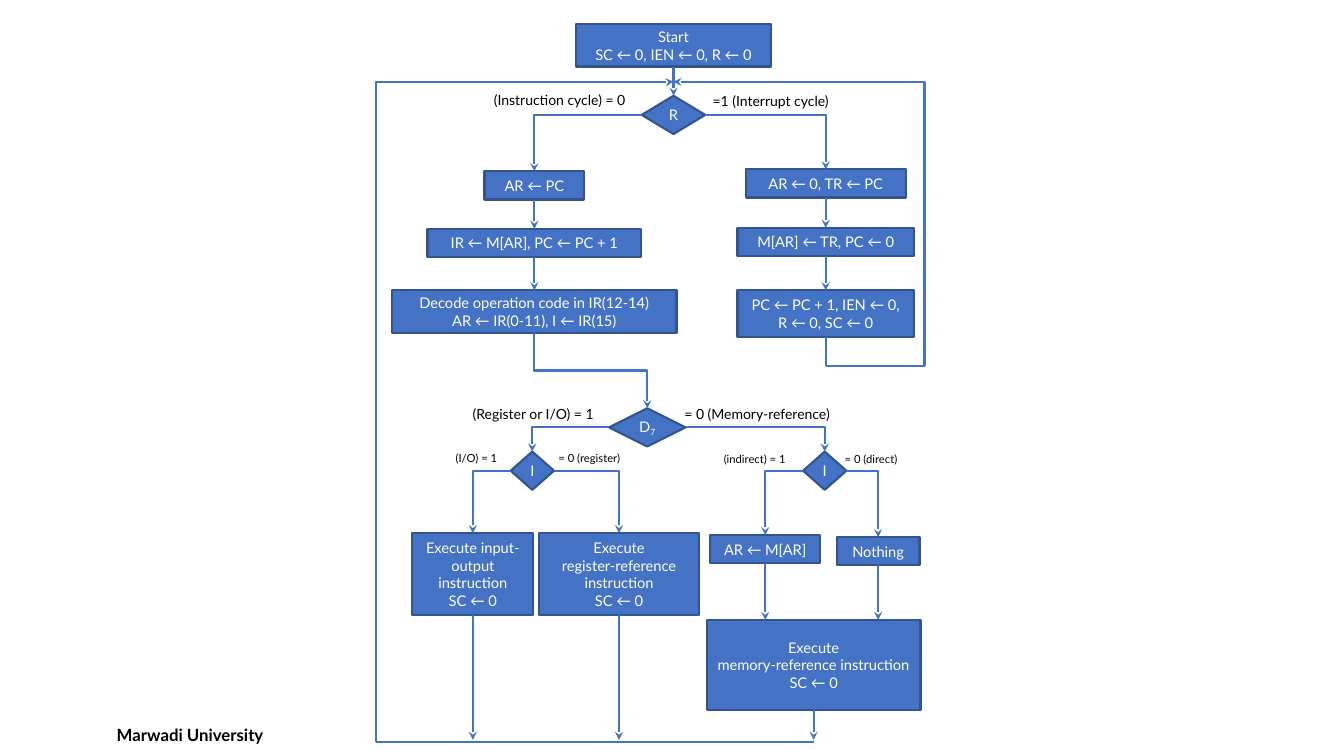
from lxml.etree import SubElement
from pptx import Presentation
from pptx.dml.color import RGBColor
from pptx.enum.shapes import MSO_CONNECTOR, MSO_SHAPE
from pptx.enum.text import MSO_ANCHOR, MSO_AUTO_SIZE, PP_ALIGN
from pptx.oxml.ns import qn
from pptx.util import Inches, Pt

FONT = "Lato"
COLORS = {"fill": "4472C4", "outline": "325491", "flow": "4472C4",
          "white": "FFFFFF", "black": "000000"}

# name: (centre x, top, width, height, lines of text)
BOXES = {
    "start": (6.68, 0.24, 1.93, 0.42, ["Start", "SC ← 0, IEN ← 0, R ← 0"]),
    "fetch_address": (5.3, 1.7, 0.99, 0.28, ["AR ← PC"]),
    "fetch": (5.3, 2.27, 2.12, 0.28, ["IR ← M[AR], PC ← PC + 1"]),
    "decode": (5.3, 2.88, 2.82, 0.42, ["Decode operation code in IR(12-14)",
                                       "AR ← IR(0-11), I ← IR(15)"]),
    "save_pc": (8.19, 1.68, 1.59, 0.28, ["AR ← 0, TR ← PC"]),
    "store_pc": (8.19, 2.26, 1.75, 0.28, ["M[AR] ← TR, PC ← 0"]),
    "disable": (8.19, 2.88, 1.75, 0.46, ["PC ← PC + 1, IEN ← 0, R ← 0, SC ← 0"]),
    "io": (4.69, 5.29, 1.2, 0.81, ["Execute input-output instruction", "SC ← 0"]),
    "register": (6.14, 5.29, 1.59, 0.81,
                 ["Execute", "register-reference instruction", "SC ← 0"]),
    "indirect": (7.59, 5.31, 1.09, 0.28, ["AR ← M[AR]"]),
    "direct": (8.71, 5.33, 0.82, 0.28, ["Nothing"]),
    "memory": (8.07, 6.15, 2.12, 0.89,
               ["Execute", "memory-reference instruction", "SC ← 0"]),
}
# name: (centre x, top, width, height, letter, subscript)
DECISIONS = {
    "R": (6.68, 0.95, 0.63, 0.38, "R", ""),
    "D7": (6.42, 4.05, 0.76, 0.38, "D", "7"),
    "I_left": (5.28, 4.48, 0.43, 0.38, "I", ""),
    "I_right": (8.18, 4.48, 0.43, 0.38, "I", ""),
}
# left, top, width, height, text, size
LABELS = [
    (4.8, 0.86, 1.66, 0.27, "(Instruction cycle) = 0", 10),
    (6.97, 0.87, 1.47, 0.27, "=1 (Interrupt cycle)", 10),
    (4.59, 3.97, 1.49, 0.27, "(Register or I/O) = 1", 10),
    (6.69, 3.97, 1.84, 0.27, "= 0 (Memory-reference)", 10),
    (4.42, 4.43, 0.63, 0.24, "(I/O) = 1", 8),
    (5.44, 4.43, 0.9, 0.24, "= 0 (register)", 8),
    (7.08, 4.44, 0.88, 0.24, "(indirect) = 1", 8),
    (8.28, 4.44, 0.8, 0.24, "= 0 (direct)", 8),
]
STEPS = [("start", "R"), ("fetch_address", "fetch"), ("fetch", "decode"),
         ("save_pc", "store_pc"), ("store_pc", "disable"),
         ("indirect", "memory"), ("direct", "memory")]
# decision: (target on its left, target on its right)
BRANCHES = {"R": ("fetch_address", "save_pc"), "D7": ("I_left", "I_right"),
            "I_left": ("io", "register"), "I_right": ("indirect", "direct")}
ENDS = ["io", "register", "memory"]
MERGE_Y, ARROW_END_Y, RETURN_Y = 0.81, 7.34, 7.36
RETURN_X, INTERRUPT_X, INTERRUPT_Y = 3.73, 9.17, 3.63

NODES = {**BOXES, **DECISIONS}

prs = Presentation()
prs.slide_width, prs.slide_height = Inches(13.33), Inches(7.5)
slide = prs.slides.add_slide(prs.slide_layouts[6])


def style(p, size, color, bold=False):
    p.font.name, p.font.size, p.font.bold = FONT, Pt(size), bold
    p.font.color.rgb = RGBColor.from_string(COLORS[color])


def add_node(kind, cx, top, w, h):
    sp = slide.shapes.add_shape(kind, Inches(cx - w / 2), Inches(top), Inches(w), Inches(h))
    sp.shadow.inherit = False
    sp.fill.solid()
    sp.fill.fore_color.rgb = RGBColor.from_string(COLORS["fill"])
    sp.line.color.rgb = RGBColor.from_string(COLORS["outline"])
    sp.line.width = Pt(1.5)
    tf = sp.text_frame
    tf.word_wrap = True
    tf.vertical_anchor = MSO_ANCHOR.MIDDLE
    return tf


def add_text(left, top, w, h, text, size, bold=False):
    tb = slide.shapes.add_textbox(Inches(left), Inches(top), Inches(w), Inches(h))
    p = tb.text_frame.paragraphs[0]
    p.text = text
    style(p, size, "black", bold)
    return tb.text_frame


def connect(x1, y1, x2, y2, kind=MSO_CONNECTOR.STRAIGHT, arrow=True):
    cxn = slide.shapes.add_connector(kind, Inches(x1), Inches(y1), Inches(x2), Inches(y2))
    cxn.line.color.rgb = RGBColor.from_string(COLORS["flow"])
    cxn.line.width = Pt(1.5)
    spPr = cxn._element.spPr
    if arrow:
        SubElement(spPr.find(qn("a:ln")), qn("a:tailEnd"), type="stealth")
    SubElement(spPr, qn("a:effectLst"))
    return spPr


def branch(x1, y1, x2, y2):
    """Arrow that runs sideways, then turns once and goes down."""
    spPr = connect(x1, y1, x2, y2, MSO_CONNECTOR.ELBOW)
    spPr.find(qn("a:prstGeom")).set("prst", "bentConnector2")


def detour(x1, y1, x2, y2, turn=0.5):
    """Arrow that leaves vertically and turns at the given share of its height."""
    cx, cy = (x1 + x2) / 2, (y1 + y2) / 2
    w, h = abs(y2 - y1), abs(x2 - x1)
    spPr = connect(cx - w / 2, cy - h / 2, cx + w / 2, cy + h / 2, MSO_CONNECTOR.ELBOW)
    xfrm = spPr.find(qn("a:xfrm"))
    xfrm.set("rot", str(90 * 60000))
    if y2 < y1:
        xfrm.set("flipH", "1")
    if x2 > x1:
        xfrm.set("flipV", "1")
    geom = spPr.find(qn("a:prstGeom"))
    SubElement(geom.find(qn("a:avLst")), qn("a:gd"), name="adj1",
               fmla=f"val {round(turn * 100000)}")


def bottom(name):
    return NODES[name][1] + NODES[name][3]


for cx, top, w, h, lines in BOXES.values():
    tf = add_node(MSO_SHAPE.RECTANGLE, cx, top, w, h)
    for i, line in enumerate(lines):
        p = tf.add_paragraph() if i else tf.paragraphs[0]
        p.text = line
        p.alignment = PP_ALIGN.CENTER
        style(p, 10.5, "white")

for cx, top, w, h, letter, subscript in DECISIONS.values():
    tf = add_node(MSO_SHAPE.DIAMOND, cx, top, w, h)
    tf.margin_left = tf.margin_right = 0
    p = tf.paragraphs[0]
    p.alignment = PP_ALIGN.CENTER
    p.add_run().text = letter
    if subscript:
        r = p.add_run()
        r.text = subscript
        r.font._element.set("baseline", "-25000")
    style(p, 10.5, "white")

for label in LABELS:
    tf = add_text(*label)
    tf.word_wrap = False
    tf.auto_size = MSO_AUTO_SIZE.SHAPE_TO_FIT_TEXT

for source, target in STEPS:
    x = NODES[source][0]
    connect(x, bottom(source), x, NODES[target][1])

for decision, targets in BRANCHES.items():
    cx, top, w, h = DECISIONS[decision][:4]
    for side, target in zip((-1, 1), targets):
        branch(cx + side * w / 2, top + h / 2, *NODES[target][:2])

for name in ENDS:
    x = BOXES[name][0]
    connect(x, bottom(name), x, ARROW_END_Y)

merge_x = DECISIONS["R"][0]
detour(BOXES["decode"][0], bottom("decode"), *DECISIONS["D7"][:2])
connect(BOXES["memory"][0], RETURN_Y, RETURN_X, RETURN_Y, arrow=False)
detour(RETURN_X, RETURN_Y, merge_x, MERGE_Y, turn=0.999)
interrupt_x = BOXES["disable"][0]
connect(interrupt_x, bottom("disable"), interrupt_x, INTERRUPT_Y, arrow=False)
connect(interrupt_x, INTERRUPT_Y, INTERRUPT_X, INTERRUPT_Y, arrow=False)
detour(INTERRUPT_X, INTERRUPT_Y, merge_x, MERGE_Y, turn=0.999)

footer = add_text(1.06, 7.09, 8, 0.4, "Marwadi University", 12, bold=True)
footer.word_wrap = True
footer.vertical_anchor = MSO_ANCHOR.MIDDLE

prs.save("out.pptx")
